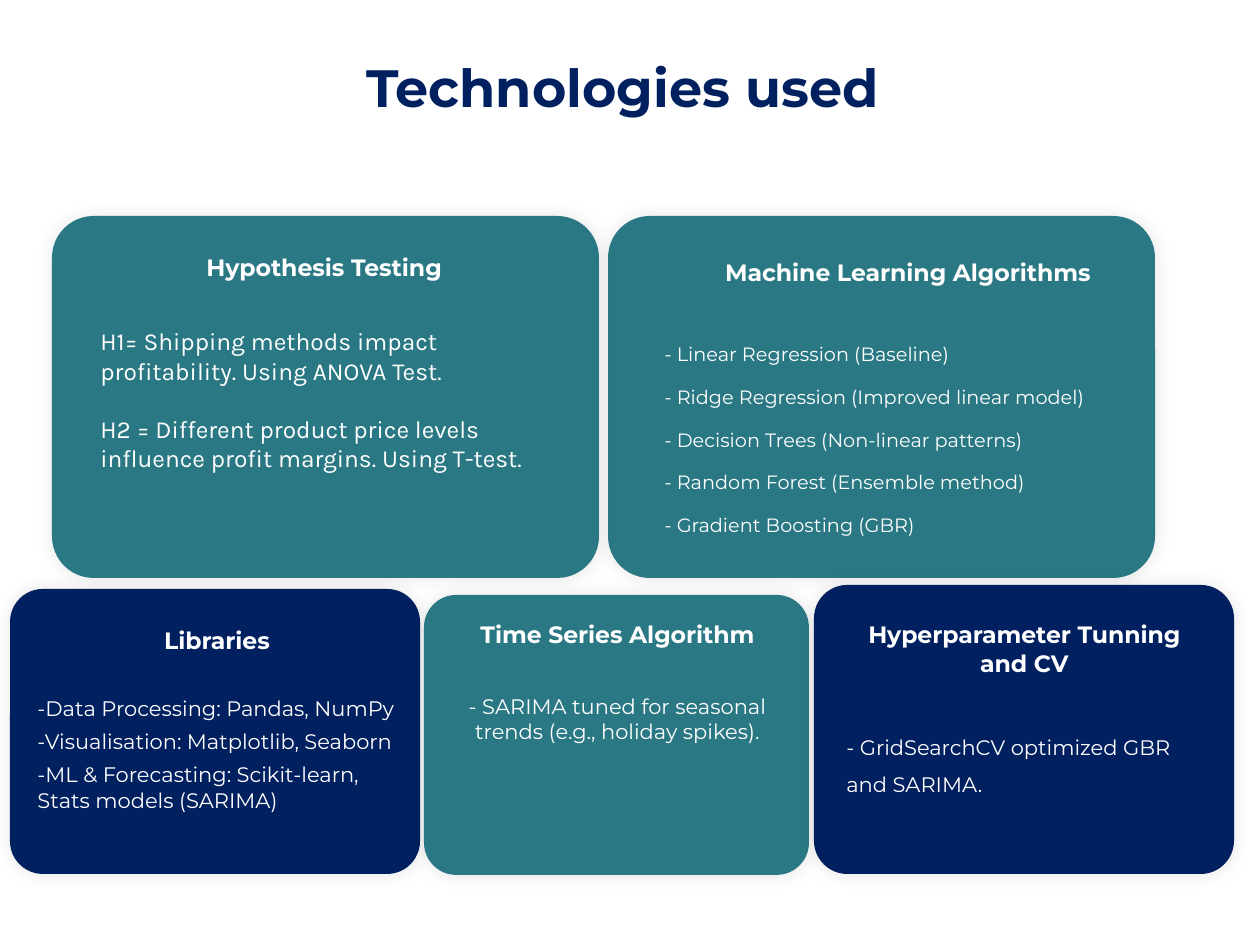
from lxml import etree
from pptx import Presentation, util as u
from pptx.dml.color import RGBColor
from pptx.enum import shapes, text
from pptx.oxml.ns import qn

HUES = {"navy": "002060", "teal": "2A7883", "white": "FFFFFF", "black": "000000"}
HEAD = "Montserrat"
TITLE = "Technologies used "
MID, LEFT = text.PP_ALIGN.CENTER, text.PP_ALIGN.LEFT

# Card and text boxes are left, top, width, height in px.
# gap: points below the heading; after: points below each line.
BASE = {"font": HEAD, "size": 12, "line": 1.0, "after": 4.5, "align": LEFT, "gap": 25.5}
CARDS = [
    {"head": "Libraries", "hue": "navy", "gap": 23.6,
     "card": (10, 589, 410, 285), "box": (25, 620, 384, 229),
     "lines": ["-Data Processing: Pandas, NumPy",
               "-Visualisation: Matplotlib, Seaborn",
               "-ML & Forecasting: Scikit-learn, Stats models (SARIMA)"]},
    {"head": "Machine Learning Algorithms", "hue": "teal", "size": 11, "line": 1.5,
     "card": (608, 216, 547, 362), "box": (652, 252, 512, 338),
     "lines": ["- Linear Regression (Baseline)",
               "- Ridge Regression (Improved linear model)",
               "- Decision Trees (Non-linear patterns)",
               "- Random Forest (Ensemble method)",
               "- Gradient Boosting (GBR)"]},
    {"head": "Time Series Algorithm", "hue": "teal", "align": MID,
     "card": (424, 595, 385, 280), "box": (451, 614, 333, 173),
     "lines": ["- SARIMA tuned for seasonal trends (e.g., holiday spikes)."]},
    {"head": "Hyperparameter Tunning and CV", "hue": "navy", "line": 1.5,
     "card": (814, 585, 420, 289), "box": (834, 614, 381, 188),
     "lines": ["- GridSearchCV optimized GBR and SARIMA."]},
    {"head": "Hypothesis Testing ", "hue": "teal", "font": "Karla", "size": 14,
     "after": 16.5,
     "card": (52, 216, 547, 362), "box": (88, 247, 479, 262),
     "lines": ["H1= Shipping methods impact profitability. Using ANOVA Test.",
               "H2 = Different product price levels influence profit margins. Using T-test."]},
]


def px(n):
    return u.Emu(round(n * 914400 / 126))


def rgb(hue):
    return RGBColor.from_string(HUES[hue])


def style(par, font, size, hue, bold, align):
    par.alignment = align
    for run in par.runs:
        run.font.name, run.font.size, run.font.bold = font, u.Pt(size), bold
        run.font.color.rgb = rgb(hue)


def glow(shape):
    """Soft, even shadow all round the shape."""
    shape.shadow.inherit = False
    fx = shape._element.spPr.find(qn("a:effectLst"))
    shade = etree.SubElement(fx, qn("a:outerShdw"), blurRad=str(u.Pt(10)),
                             dist="0", dir="0", algn="ctr", rotWithShape="0")
    tint = etree.SubElement(shade, qn("a:srgbClr"), val=HUES["black"])
    etree.SubElement(tint, qn("a:alpha"), val="10000")


def add_card(slide, card):
    panel = slide.shapes.add_shape(shapes.MSO_SHAPE.ROUNDED_RECTANGLE,
                                   *map(px, card["card"]))
    panel.adjustments[0] = 0.115
    panel.fill.solid()
    panel.fill.fore_color.rgb = rgb(card["hue"])
    panel.line.fill.background()
    glow(panel)

    frame = slide.shapes.add_textbox(*map(px, card["box"])).text_frame
    frame.word_wrap = True
    head = frame.paragraphs[0]
    head.text = card["head"]
    head.space_after = u.Pt(card["gap"])
    style(head, HEAD, 13.5, "white", True, MID)
    for line in card["lines"]:
        par = frame.add_paragraph()
        par.text = line
        par.line_spacing = card["line"]
        par.space_after = u.Pt(card["after"])
        style(par, card["font"], card["size"], "white", False, card["align"])


def main():
    prs = Presentation()
    prs.slide_width, prs.slide_height = px(1260), px(945)
    slide = prs.slides.add_slide(prs.slide_layouts[5])

    title = slide.shapes.title
    title.left, title.top, title.width, title.height = map(px, (0, 49, 1260, 77))
    frame = title.text_frame
    frame.text = TITLE
    frame.auto_size = text.MSO_AUTO_SIZE.NONE
    frame.vertical_anchor = text.MSO_ANCHOR.TOP
    style(frame.paragraphs[0], HEAD, 30, "navy", True, MID)

    for card in CARDS:
        add_card(slide, {**BASE, **card})
    prs.save("out.pptx")


if __name__ == "__main__":
    main()
